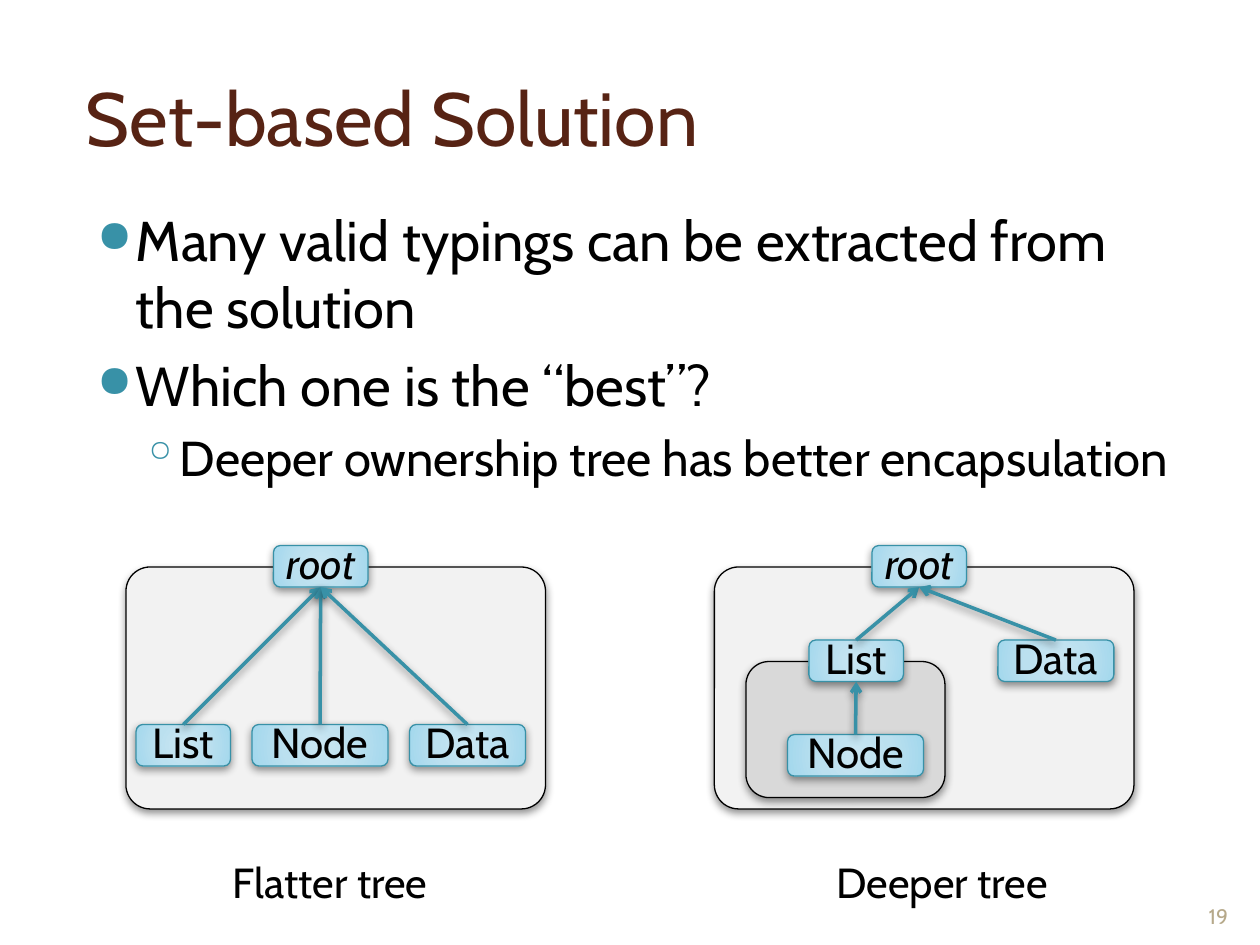
from lxml import etree
from pptx import Presentation
from pptx.dml.color import RGBColor
from pptx.enum import shapes, text
from pptx.oxml import ns, parse_xml
from pptx.util import Inches, Pt

COLORS = {
    "title": "572314", "ink": "000000", "accent": "3891A7", "number": "B6A98A",
    "scope": "F2F2F2", "inner": "D9D9D9",
}
NODE_STOPS = [(0, "C9E6F2"), (50, "BBE0EF"), (97, "A4D8ED"), (100, "9BD7EE")]
NODE_WIDTHS = {"root": 0.75, "List": 0.75, "Node": 1.08, "Data": 0.92}
NODE_HEIGHT = 0.33
FONT = "Cabin"


def rgb(name):
    return RGBColor.from_string(COLORS[name])


def style(font, size, color="ink"):
    font.name, font.size = FONT, Pt(size)
    font.color.rgb = rgb(color)


def add_shadow(item):
    item._element.spPr.append(parse_xml(
        f'<a:effectLst {ns.nsdecls("a")}>'
        f'<a:outerShdw blurRad="{Pt(5)}" dist="{Pt(2)}" dir="5400000" rotWithShape="0">'
        '<a:srgbClr val="000000"><a:alpha val="43000"/></a:srgbClr>'
        '</a:outerShdw></a:effectLst>'))


def fill_radial(shape):
    shape.fill.gradient()
    stops = "".join(f'<a:gs pos="{pos * 1000}"><a:srgbClr val="{color}"/></a:gs>'
                    for pos, color in NODE_STOPS)
    properties = shape._element.spPr
    properties.replace(properties.find(ns.qn("a:gradFill")), parse_xml(
        f'<a:gradFill rotWithShape="1" {ns.nsdecls("a")}><a:gsLst>{stops}</a:gsLst>'
        '<a:path path="circle"><a:fillToRect l="50000" t="50000" r="50000" b="50000"/>'
        '</a:path></a:gradFill>'))


def add_text(page, left, top, width, height, words, size, color="ink", wrap=True):
    box = page.shapes.add_textbox(*map(Inches, (left, top, width, height)))
    frame = box.text_frame
    frame.word_wrap = wrap
    frame.text = words
    style(frame.paragraphs[0].runs[0].font, size, color)
    return frame


def add_title(page, left, top, width, height):
    title = page.shapes.title
    title.left, title.top, title.width, title.height = map(
        Inches, (left, top, width, height))
    frame = title.text_frame
    frame.text = "Set-based Solution"
    frame.vertical_anchor = text.MSO_ANCHOR.MIDDLE
    para = frame.paragraphs[0]
    para.alignment = text.PP_ALIGN.LEFT
    style(para.runs[0].font, 43, "title")


def add_bullets(page, left, top, width, height):
    # level, size, bullet, bullet size, margin, indent, space before
    levels = [(0, 32, "●", 80, 0.4, -0.31, 6), (1, 28, "◦", 100, 0.7, -0.26, 5.5)]
    items = [
        (0, "Many valid typings can be extracted from the solution"),
        (0, "Which one is the “best”?"),
        (1, "Deeper ownership tree has better encapsulation"),
    ]
    box = page.shapes.add_textbox(*map(Inches, (left, top, width, height)))
    frame = box.text_frame
    frame.word_wrap = True
    for index, (depth, words) in enumerate(items):
        para = frame.add_paragraph() if index else frame.paragraphs[0]
        para.text = words
        level, size, mark, mark_size, margin, indent, space = levels[depth]
        para.level = level
        properties = para._p.get_or_add_pPr()
        properties.set("marL", str(Inches(margin)))
        properties.set("indent", str(Inches(indent)))
        color = etree.SubElement(properties, ns.qn("a:buClr"))
        etree.SubElement(color, ns.qn("a:srgbClr"), val=COLORS["accent"])
        etree.SubElement(properties, ns.qn("a:buSzPct"), val=str(mark_size * 1000))
        etree.SubElement(properties, ns.qn("a:buChar"), char=mark)
        if index:
            para.space_before = Pt(space)
        style(para.runs[0].font, size)


def add_round_box(page, left, top, width, height, line):
    shape = page.shapes.add_shape(shapes.MSO_SHAPE.ROUNDED_RECTANGLE,
                                  *map(Inches, (left, top, width, height)))
    shape.line.color.rgb = rgb(line)
    shape.line.width = Pt(0.75)
    return shape


def add_scope(page, left, top, width, height, color, corner):
    scope = add_round_box(page, left, top, width, height, "ink")
    scope.adjustments[0] = corner
    scope.fill.solid()
    scope.fill.fore_color.rgb = rgb(color)
    add_shadow(scope)


def add_node(page, left, top, name):
    node = add_round_box(page, left, top, NODE_WIDTHS[name], NODE_HEIGHT, "accent")
    fill_radial(node)
    add_shadow(node)
    frame = node.text_frame
    frame.margin_left = frame.margin_right = frame.margin_top = frame.margin_bottom = 0
    frame.vertical_anchor = text.MSO_ANCHOR.BOTTOM
    frame.text = name
    para = frame.paragraphs[0]
    para.alignment = text.PP_ALIGN.CENTER
    para.line_spacing = 0.5
    span = para.runs[0]
    style(span.font, 24)
    if name == "root":
        span.font.italic = True
    return node


def add_owner_arrow(page, child, owner):
    arrow = page.shapes.add_connector(shapes.MSO_CONNECTOR.STRAIGHT, 0, 0, 0, 0)
    arrow.begin_connect(child, 0)
    arrow.end_connect(owner, 2)
    arrow.line.color.rgb = rgb("accent")
    arrow.line.width = Pt(2)
    etree.SubElement(arrow.line._get_or_add_ln(), ns.qn("a:tailEnd"), type="arrow")
    add_shadow(arrow)


def add_tree(page, left, top, width, height, places, owners, inner=None):
    """Places of nodes and of the inner scope are relative to the outer scope."""
    add_scope(page, left, top, width, height, "scope", 0.1)
    if inner:
        x, y, inner_width, inner_height = inner
        add_scope(page, left + x, top + y, inner_width, inner_height, "inner", 0.17)
    nodes = {name: add_node(page, left + x, top + y, name)
             for name, (x, y) in places.items()}
    for child, owner in owners.items():
        add_owner_arrow(page, nodes[child], nodes[owner])


def add_page_number(page, left, top, width, height):
    frame = add_text(page, left, top, width, height, "19", 12, "number")
    frame.vertical_anchor = text.MSO_ANCHOR.BOTTOM
    frame.paragraphs[0].alignment = text.PP_ALIGN.CENTER


def main():
    deck = Presentation()
    deck.slide_width, deck.slide_height = Inches(10), Inches(7.5)
    page = deck.slides.add_slide(deck.slide_layouts[5])

    # Heading and points
    add_title(page, 0.58, 0.3, 8.87, 1.25)
    add_bullets(page, 0.58, 1.58, 8.87, 5.25)

    # Captions
    add_text(page, 1.75, 6.75, 1.75, 0.5, "Flatter tree", 24, wrap=False)
    add_text(page, 6.54, 6.75, 1.89, 0.5, "Deeper tree", 24, wrap=False)

    # Ownership trees
    add_tree(page, 1, 4.5, 3.33, 1.92,
             {"root": (1.17, -0.17), "List": (0.08, 1.25),
              "Node": (1, 1.25), "Data": (2.25, 1.25)},
             {"List": "root", "Node": "root", "Data": "root"})
    add_tree(page, 5.67, 4.5, 3.33, 1.92,
             {"root": (1.25, -0.17), "List": (0.75, 0.58),
              "Node": (0.58, 1.33), "Data": (2.25, 0.58)},
             {"List": "root", "Node": "List", "Data": "root"},
             inner=(0.25, 0.75, 1.58, 1.08))

    add_page_number(page, 9.42, 6.9, 0.5, 0.52)
    deck.save("out.pptx")


if __name__ == "__main__":
    main()
